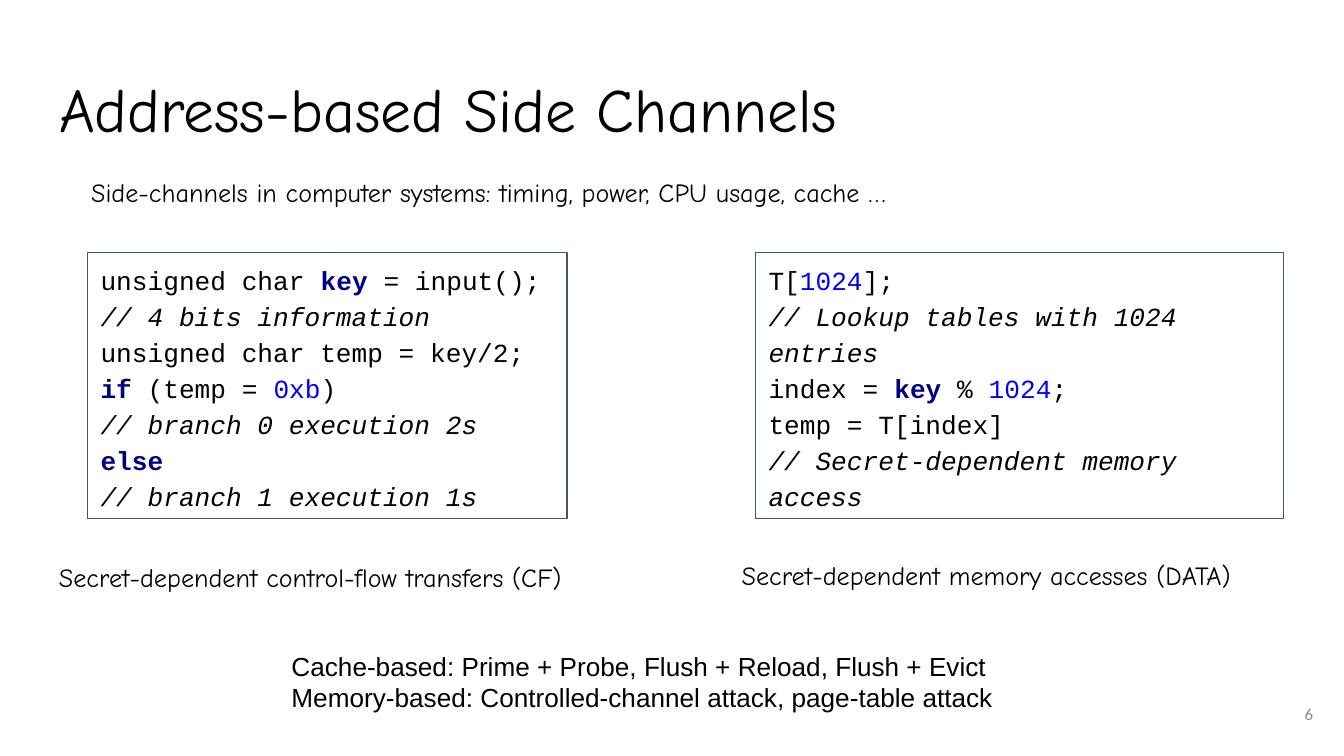
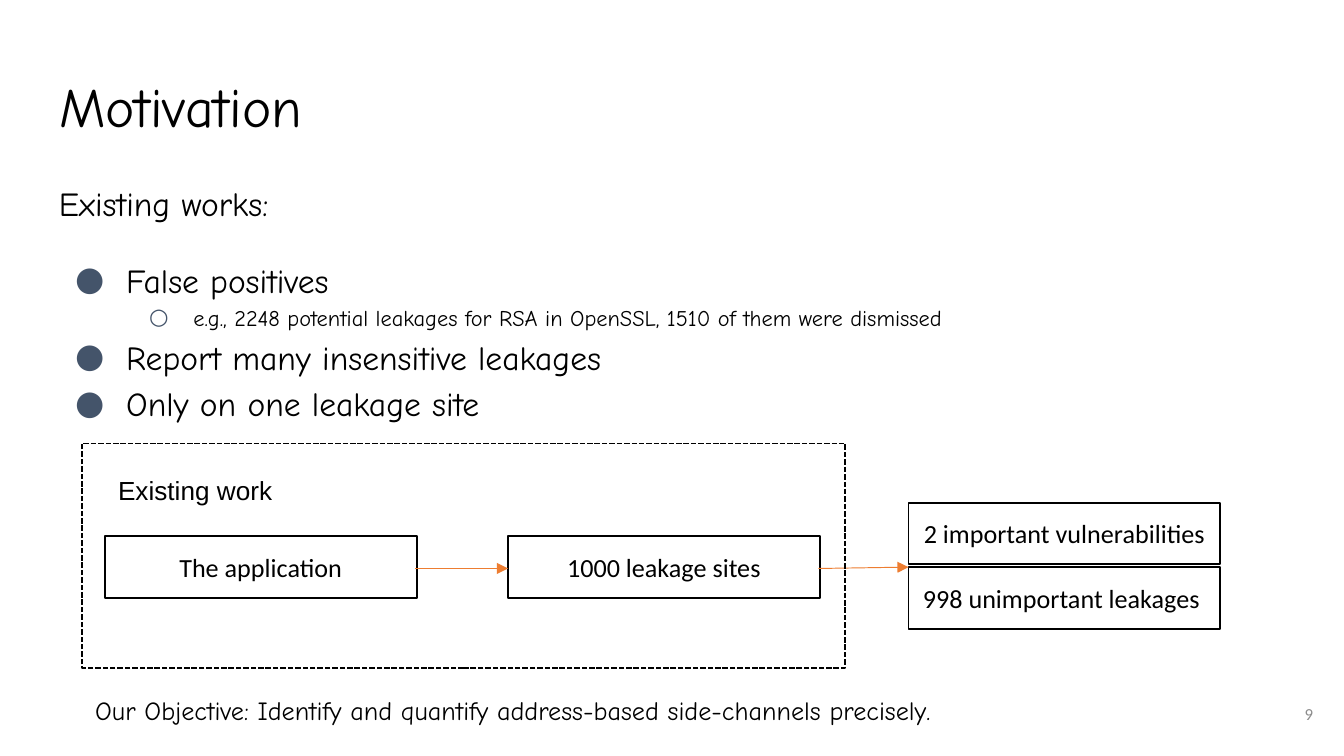
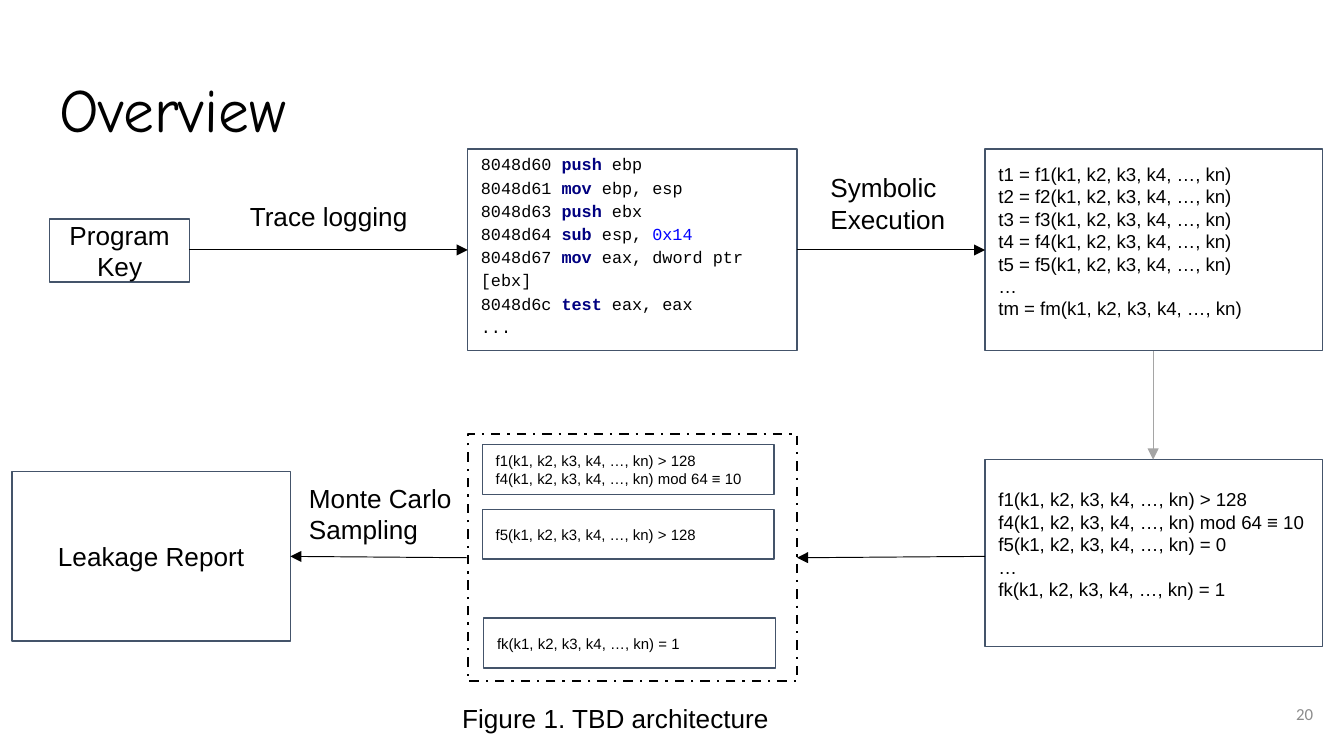
"""Build three slides on address-based side channels."""
from dataclasses import dataclass
from typing import NamedTuple, Optional, Union

from lxml import etree
from pptx import Presentation
from pptx.dml.color import RGBColor
from pptx.enum.dml import MSO_LINE
from pptx.enum.shapes import MSO_CONNECTOR, MSO_SHAPE
from pptx.enum.text import MSO_ANCHOR, MSO_AUTO_SIZE, PP_ALIGN
from pptx.oxml.ns import qn
from pptx.util import Inches, Pt

LEFT, CENTER, RIGHT = PP_ALIGN.LEFT, PP_ALIGN.CENTER, PP_ALIGN.RIGHT
TOP, MIDDLE = MSO_ANCHOR.TOP, MSO_ANCHOR.MIDDLE
NO_FIT = MSO_AUTO_SIZE.NONE
DASH, DASH_DOT = MSO_LINE.SQUARE_DOT, MSO_LINE.DASH_DOT
RECT, STRAIGHT = MSO_SHAPE.RECTANGLE, MSO_CONNECTOR.STRAIGHT
TITLE_ONLY = 5


@dataclass(frozen=True)
class Theme:
    black: str = "000000"
    white: str = "FFFFFF"
    slate: str = "44546A"
    navy: str = "000080"
    blue: str = "0000FF"
    orange: str = "ED7D31"
    gray: str = "A5A5A5"
    number: str = "8C8C8C"
    hand: str = "Comic Neue"
    sans: str = "Arial"
    body: str = "Calibri"
    mono: str = "Courier New"
    title: float = 33
    title_small: float = 29.7
    lead: float = 18
    text: float = 14
    sub: float = 12
    formula: float = 10
    small: float = 9
    tiny: float = 8


T = Theme()


class Box(NamedTuple):
    x: float
    y: float
    w: float
    h: float


class Arrow(NamedTuple):
    x1: float
    y1: float
    x2: float
    y2: float
    color: str = T.black


class Run(NamedTuple):
    text: str
    color: Optional[str] = None
    bold: bool = False
    italic: bool = False


class Bullet(NamedTuple):
    char: str
    level: int
    left: float
    hang: float


@dataclass(frozen=True)
class Para:
    runs: tuple
    size: Optional[float] = None
    bullet: Optional[Bullet] = None
    before: float = 0


Line = Union[str, tuple, Para]

DOT = Bullet("●", 0, 0.5, 0.38)
RING = Bullet("○", 1, 1, 0.33)
TITLE_BOX = Box(0.34, 0.49, 9.32, 0.63)
NUMBER_BOX = Box(9.27, 5.1, 0.6, 0.43)
ARGS = "(k1, k2, k3, k4, …, kn)"


def kw(text: str) -> Run:
    return Run(text, T.navy, bold=True)


def num(text: str) -> Run:
    return Run(text, T.blue)


def note(text: str) -> tuple:
    return (Run(text, italic=True),)


def rgb(color: str) -> RGBColor:
    return RGBColor.from_string(color)


def add_bullet(p, bullet: Bullet) -> None:
    p.level = bullet.level
    ppr = p._p.get_or_add_pPr()
    ppr.set("marL", str(Inches(bullet.left)))
    ppr.set("indent", str(-Inches(bullet.hang)))
    clr = etree.SubElement(ppr, qn("a:buClr"))
    etree.SubElement(clr, qn("a:srgbClr"), val=T.slate)
    etree.SubElement(ppr, qn("a:buFont"), typeface=T.hand)
    etree.SubElement(ppr, qn("a:buChar"), char=bullet.char)


def write(sp, lines: list[Line], *, size: float = T.text, font: str = T.sans,
          color: str = T.black, align=LEFT, anchor=TOP, spacing: float = 1,
          pad: float = 0.1, bottom: Optional[float] = None) -> None:
    tf = sp.text_frame
    tf.word_wrap, tf.auto_size, tf.vertical_anchor = True, NO_FIT, anchor
    tf.margin_left = tf.margin_right = Inches(0.1)
    tf.margin_top = Inches(pad)
    tf.margin_bottom = Inches(pad if bottom is None else bottom)
    for i, line in enumerate(lines):
        if isinstance(line, str):
            line = (line,)
        para = line if isinstance(line, Para) else Para(line)
        p = tf.add_paragraph() if i else tf.paragraphs[0]
        if para.bullet:
            add_bullet(p, para.bullet)
        p.alignment, p.line_spacing = align, spacing
        p.space_before = Pt(para.before)
        for item in para.runs:
            run = Run(item) if isinstance(item, str) else item
            r = p.add_run()
            r.text = run.text
            r.font.name, r.font.size = font, Pt(para.size or size)
            r.font.bold, r.font.italic = run.bold, run.italic
            r.font.color.rgb = rgb(run.color or color)


def add_text(s, box: Box, lines: list[Line], **fmt) -> None:
    sp = s.shapes.add_textbox(*map(Inches, box))
    write(sp, lines, **fmt)


def add_label(s, box: Box, *lines: str) -> None:
    add_text(s, box, list(lines), pad=0.05)


def add_box(s, box: Box, lines: list[Line], *, line: str = T.slate,
            width: float = 0.75, **fmt) -> None:
    sp = s.shapes.add_shape(RECT, *map(Inches, box))
    sp.shadow.inherit = False
    sp.fill.solid()
    sp.fill.fore_color.rgb = rgb(T.white)
    sp.line.color.rgb, sp.line.width = rgb(line), Pt(width)
    write(sp, lines, anchor=MIDDLE, **fmt)


def add_frame(s, box: Box, dash, width: float) -> None:
    sp = s.shapes.add_shape(RECT, *map(Inches, box))
    sp.shadow.inherit = False
    sp.fill.background()
    sp.line.color.rgb, sp.line.width = rgb(T.black), Pt(width)
    sp.line.dash_style = dash


def add_arrow(s, arrow: Arrow) -> None:
    sp = s.shapes.add_connector(STRAIGHT, *map(Inches, arrow[:4]))
    sp.line.color.rgb, sp.line.width = rgb(arrow.color), Pt(0.5)
    ln = sp.line._get_or_add_ln()
    etree.SubElement(ln, qn("a:tailEnd"), type="triangle")
    etree.SubElement(sp._element.spPr, qn("a:effectLst"))


def add_slide(prs, title: str, number: int, size: float = T.title):
    s = prs.slides.add_slide(prs.slide_layouts[TITLE_ONLY])
    sp = s.shapes.title
    sp.left, sp.top, sp.width, sp.height = map(Inches, TITLE_BOX)
    write(sp, [title], size=size, font=T.hand, spacing=0.9)
    add_text(s, NUMBER_BOX, [str(number)], size=T.small, font=T.body,
             color=T.number, align=RIGHT, anchor=MIDDLE)
    return s


def build_channels(prs) -> None:
    s = add_slide(prs, "Address-based Side Channels", 6)
    branch_code = [
        ("unsigned char ", kw("key"), " = input();"),
        note("// 4 bits information"),
        "unsigned char temp = key/2;",
        (kw("if"), " (temp = ", num("0xb"), ")"),
        note("// branch 0 execution 2s"),
        (kw("else"),),
        note("// branch 1 execution 1s"),
    ]
    table_code = [
        ("T[", num("1024"), "];"),
        note("// Lookup tables with 1024 entries"),
        ("index = ", kw("key"), " % ", num("1024"), ";"),
        "temp = T[index]",
        note("// Secret-dependent memory access"),
    ]
    for x, w, code in ((0.65, 3.57, branch_code), (5.62, 3.93, table_code)):
        add_box(s, Box(x, 1.88, w, 1.98), code, font=T.mono, spacing=1.15)
    for box, text in (
        (Box(0.58, 1.21, 7.33, 0.37),
         "Side-channels in computer systems: timing, power, CPU usage, cache …"),
        (Box(0.34, 4.08, 4.42, 0.37),
         "Secret-dependent control-flow transfers (CF)"),
        (Box(5.42, 4.06, 4.33, 0.37),
         "Secret-dependent memory accesses (DATA)"),
    ):
        add_text(s, box, [text], font=T.hand)
    add_label(s, Box(2.07, 4.79, 5.73, 0.57),
              "Cache-based: Prime + Probe, Flush + Reload, Flush + Evict",
              "Memory-based: Controlled-channel attack, page-table attack")


def build_motivation(prs) -> None:
    s = add_slide(prs, "Motivation", 9, T.title_small)
    add_text(s, Box(0.34, 1.22, 8.22, 1.96), [
        "Existing works:",
        Para(("False positives",), bullet=DOT, before=16),
        Para(("e.g., 2248 potential leakages for RSA in OpenSSL, "
              "1510 of them were dismissed",), T.sub, RING),
        Para(("Report many insensitive leakages",), bullet=DOT),
        Para(("Only on one leakage site",), bullet=DOT),
    ], size=T.lead, font=T.hand, spacing=1.15)
    add_text(s, Box(0.61, 5.07, 8.03, 0.5),
             ["Our Objective: Identify and quantify address-based "
              "side-channels precisely."], font=T.hand)
    for x, y, text in (
        (0.78, 3.99, "The application"),
        (3.78, 3.99, "1000 leakage sites"),
        (6.76, 3.74, "2 important vulnerabilities"),
        (6.76, 4.22, "998 unimportant leakages "),
    ):
        add_box(s, Box(x, y, 2.32, 0.46), [text], line=T.black, width=1,
                font=T.body, align=CENTER, pad=0.05)
    add_arrow(s, Arrow(3.09, 4.23, 3.78, 4.23, T.orange))
    add_arrow(s, Arrow(6.09, 4.23, 6.76, 4.22, T.orange))
    add_frame(s, Box(0.61, 3.3, 5.68, 1.67), DASH, 1)
    add_label(s, Box(0.78, 3.48, 1.65, 0.34), "Existing work")


def build_overview(prs) -> None:
    s = add_slide(prs, "Overview", 20)
    first = f"f1{ARGS} > 128"
    modulo = f"f4{ARGS} mod 64 ≡ 10"
    last = f"fk{ARGS} = 1"
    add_box(s, Box(3.48, 1.11, 2.45, 1.5), [
        ("8048d60 ", kw("push"), " ebp"),
        ("8048d61 ", kw("mov"), " ebp, esp"),
        ("8048d63 ", kw("push"), " ebx"),
        ("8048d64 ", kw("sub"), " esp, ", num("0x14")),
        ("8048d67 ", kw("mov"), " eax, dword ptr [ebx]"),
        ("8048d6c ", kw("test"), " eax, eax"),
        "...",
    ], size=T.small, font=T.mono, spacing=1.15, bottom=0.19)
    terms = [f"t{i} = f{i}{ARGS}" for i in (1, 2, 3, 4, 5, "m")]
    terms.insert(-1, "…")
    constraints = [first, modulo, f"f5{ARGS} = 0", "…", last]
    for y, h, lines in ((1.11, 1.5, terms), (3.42, 1.39, constraints)):
        add_box(s, Box(7.33, y, 2.51, h), lines, size=T.formula, bottom=0.23)
    add_frame(s, Box(3.48, 3.23, 2.45, 1.84), DASH_DOT, 1.25)
    for x, y, lines in (
        (3.59, 3.31, [first, modulo]),
        (3.59, 3.79, [f"f5{ARGS} > 128"]),
        (3.6, 4.6, [last]),
    ):
        add_box(s, Box(x, y, 2.17, 0.37), lines, size=T.tiny)
    add_box(s, Box(0.09, 3.51, 2.07, 1.26), ["Leakage Report"], align=CENTER)
    add_box(s, Box(0.37, 1.63, 1.04, 0.47), ["Program", "Key"], align=CENTER)
    for arrow in (
        Arrow(1.41, 1.86, 3.48, 1.86),
        Arrow(5.93, 1.86, 7.33, 1.86),
        Arrow(8.58, 2.61, 8.58, 3.42, T.gray),
        Arrow(7.33, 4.14, 5.93, 4.15),
        Arrow(3.48, 4.15, 2.16, 4.14),
    ):
        add_arrow(s, arrow)
    add_label(s, Box(1.76, 1.44, 1.55, 0.34), "Trace logging")
    add_label(s, Box(6.08, 1.23, 1.63, 0.57), "Symbolic Execution")
    add_label(s, Box(2.2, 3.54, 1.55, 0.57), "Monte Carlo", "Sampling")
    add_label(s, Box(3.34, 5.18, 2.78, 0.34), "Figure 1. TBD architecture")


def main() -> None:
    prs = Presentation()
    prs.slide_width = Inches(10)
    prs.slide_height = prs.slide_width * 9 // 16
    build_channels(prs)
    build_motivation(prs)
    build_overview(prs)
    prs.save("out.pptx")


if __name__ == "__main__":
    main()
